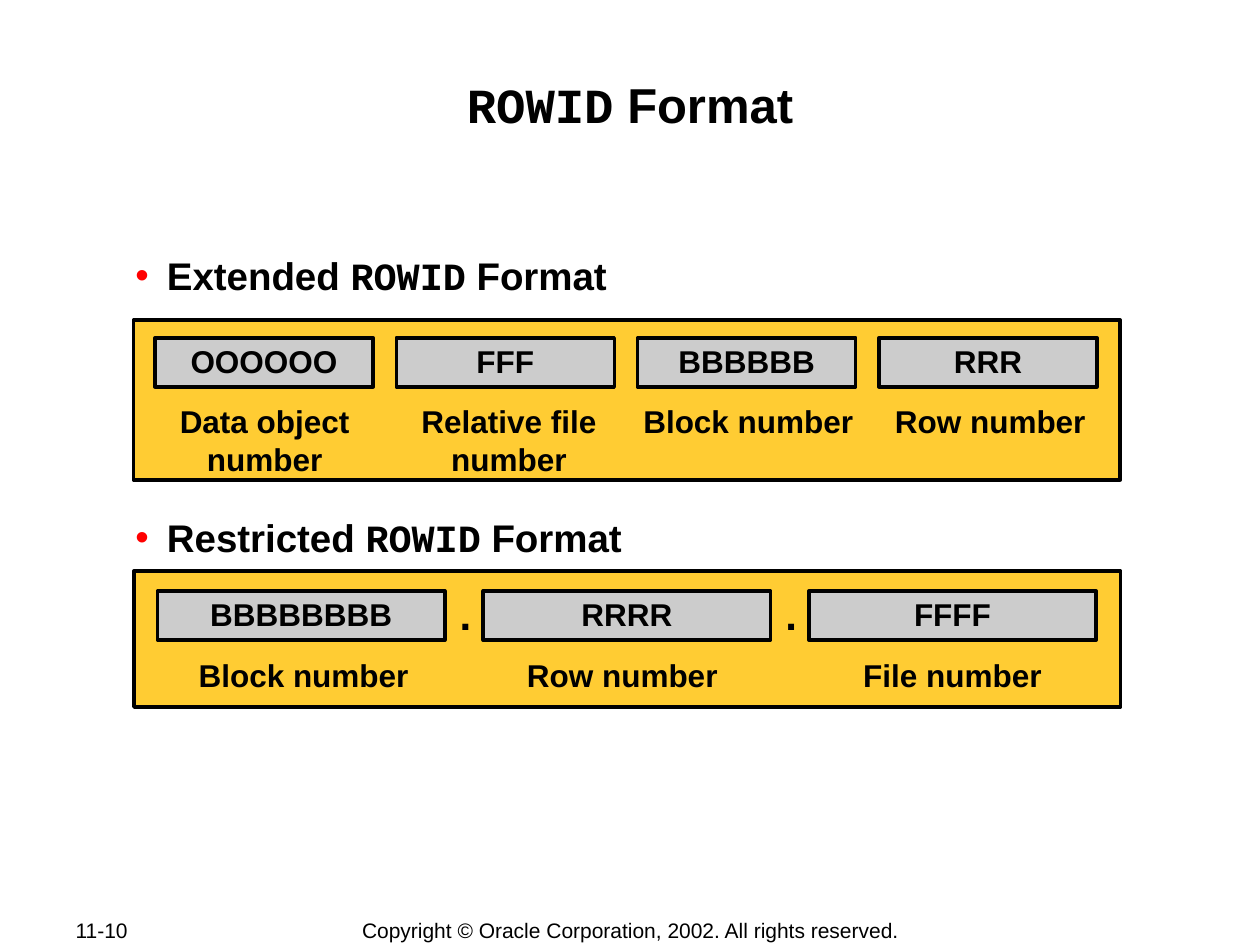
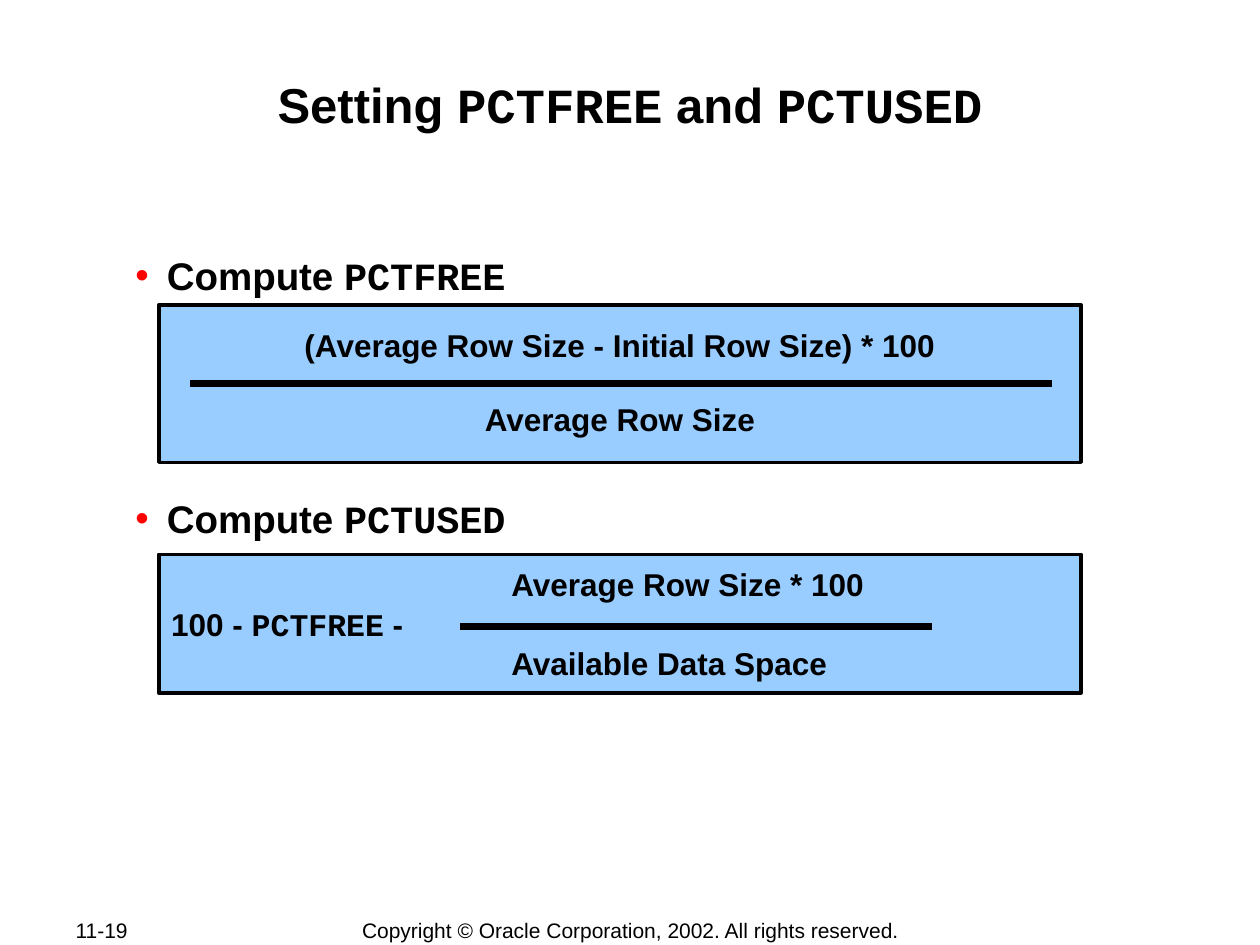
from lxml import etree
from pptx import Presentation
from pptx.dml.color import RGBColor
from pptx.enum.shapes import MSO_CONNECTOR, MSO_SHAPE
from pptx.enum.text import MSO_ANCHOR, PP_ALIGN
from pptx.oxml.ns import qn
from pptx.util import Pt

LEFT, CENTER = PP_ALIGN.LEFT, PP_ALIGN.CENTER
TOP, MIDDLE = MSO_ANCHOR.TOP, MSO_ANCHOR.MIDDLE
RECTANGLE, STRAIGHT = MSO_SHAPE.RECTANGLE, MSO_CONNECTOR.STRAIGHT

BLACK, RED, GOLD, GREY, BLUE = "000000", "FF0000", "FFCC33", "CCCCCC", "99CCFF"
TEXT_FONT, CODE_FONT = "Arial", "Courier New"
COPYRIGHT = "Copyright © Oracle Corporation, 2002. All rights reserved."


def add_box(slide, left, top, width, height, fill=None, anchor=TOP, inset=(0.7, 0.7)):
    place = Pt(left), Pt(top), Pt(width), Pt(height)
    if fill:
        shape = slide.shapes.add_shape(RECTANGLE, *place)
        shape.shadow.inherit = False
        shape.fill.solid()
        shape.fill.fore_color.rgb = RGBColor.from_string(fill)
        shape.line.color.rgb = RGBColor.from_string(BLACK)
        shape.line.width = Pt(2)
    else:
        shape = slide.shapes.add_textbox(*place)
    frame = shape.text_frame
    frame.word_wrap = True
    frame.vertical_anchor = anchor
    frame.margin_left = frame.margin_right = Pt(inset[0])
    frame.margin_top = frame.margin_bottom = Pt(inset[1])
    return frame


def add_text(frame, text, size, align=CENTER, bold=True, before=0, spacing=None):
    paragraph = frame.paragraphs[0]
    if paragraph.runs:
        paragraph = frame.add_paragraph()
    paragraph.alignment = align
    paragraph.space_before = Pt(before)
    if spacing:
        paragraph.line_spacing = spacing
    for index, part in enumerate(text.split("`")):
        if part:
            run = paragraph.add_run()
            run.text = part
            run.font.name = CODE_FONT if index % 2 else TEXT_FONT
            run.font.size = Pt(size)
            run.font.bold = bold
            run.font.color.rgb = RGBColor.from_string(BLACK)
    return paragraph


presentation = Presentation()
presentation.slide_width, presentation.slide_height = Pt(720), Pt(540)

pages = [
    ("11-10", "`ROWID` Format",
     ["Extended `ROWID` Format", "Restricted `ROWID` Format"], 123.5),
    ("11-19", "Setting `PCTFREE` and `PCTUSED`",
     ["Compute `PCTFREE`", "Compute `PCTUSED`"], 112.5),
]
slides = []
for number, title, bullets, bullet_gap in pages:
    slide = presentation.slides.add_slide(presentation.slide_layouts[6])
    slides.append(slide)
    number_frame = add_box(slide, 43.2, 524.2, 69, 14.4, anchor=MIDDLE, inset=(0, 0))
    add_text(number_frame, number, 12, LEFT, bold=False)
    copyright_frame = add_box(slide, 198.7, 524.2, 323.3, 15, anchor=MIDDLE, inset=(0, 0))
    add_text(copyright_frame, COPYRIGHT, 12, bold=False)
    add_text(add_box(slide, 72, 41.8, 576, 69), title, 28)
    body = add_box(slide, 67.7, 143.3, 580, 177)
    for index, bullet in enumerate(bullets):
        paragraph = add_text(body, bullet, 22, LEFT, before=index * bullet_gap)
        properties = paragraph._p.get_or_add_pPr()
        properties.set("marL", str(Pt(27)))
        properties.set("indent", str(Pt(-18)))
        bullet_color = etree.SubElement(properties, qn("a:buClr"))
        etree.SubElement(bullet_color, qn("a:srgbClr"), val=RED)
        etree.SubElement(properties, qn("a:buFont"), typeface=TEXT_FONT)
        etree.SubElement(properties, qn("a:buChar"), char="•")

rowid_slide, formula_slide = slides

rowid_formats = [
    (76.3, 182.9, 91.4, 88.6, 193, 124.6, 137.9, 226.1, "", [
        ("OOOOOO", "Data object number", 77.8, 146.9),
        ("FFF", "Relative file number", 221, 139.7),
        ("BBBBBB", "Block number", 354.2, 146.9),
        ("RRR", "Row number", 504, 123.8),
    ]),
    (76.6, 326.2, 77.8, 90, 337.7, 164.2, 186.1, 371.5, ".", [
        ("BBBBBBBB", "Block number", 100.1, 146.9),
        ("RRRR", "Row number", 285.8, 139.7),
        ("FFFF", "File number", 482.4, 123.8),
    ]),
]
for (panel_left, panel_top, panel_height, field_left, field_top, field_width,
     pitch, label_top, separator, fields) in rowid_formats:
    add_box(rowid_slide, panel_left, panel_top, 563.8, panel_height, GOLD)
    for index, (code, label, label_left, label_width) in enumerate(fields):
        left = field_left + index * pitch
        field = add_box(rowid_slide, left, field_top, field_width, 28.1, GREY,
                        MIDDLE, (3.6, 3.6))
        add_text(field, code, 18, spacing=0.95)
        caption = add_box(rowid_slide, label_left, label_top, label_width, 28.1,
                          inset=(6.5, 3.6))
        add_text(caption, label, 18)
        if separator and index:
            dot = add_box(rowid_slide, left - 19.1, 332.6, 18, 35.3, inset=(5, 3.6))
            add_text(dot, separator, 24)

free_formula = add_box(formula_slide, 90.7, 174.2, 527, 90, BLUE, MIDDLE, (3.6, 3.6))
add_text(free_formula, "(Average Row Size - Initial Row Size) * 100", 18, spacing=0.95)
add_text(free_formula, "Average Row Size", 18, before=21.5, spacing=0.95)

used_formula = add_box(formula_slide, 90.7, 316.8, 527, 79.2, BLUE, MIDDLE, (7.2, 3.6))
used_lines = [
    ("Average Row Size * 100", 194.4, 0),
    ("100 - `PCTFREE` -", 0, 1),
    ("Available Data Space", 194.4, 1),
]
for text, indent, before in used_lines:
    paragraph = add_text(used_formula, text, 18, LEFT, before=before)
    paragraph._p.get_or_add_pPr().set("marL", str(Pt(indent)))

for start, end, height in [(108.7, 601.2, 218.9), (262.8, 532.8, 357.8)]:
    fraction_bar = formula_slide.shapes.add_connector(
        STRAIGHT, Pt(start), Pt(height), Pt(end), Pt(height))
    fraction_bar.line.color.rgb = RGBColor.from_string(BLACK)
    fraction_bar.line.width = Pt(4)
    etree.SubElement(fraction_bar._element.spPr, qn("a:effectLst"))

presentation.save("out.pptx")
